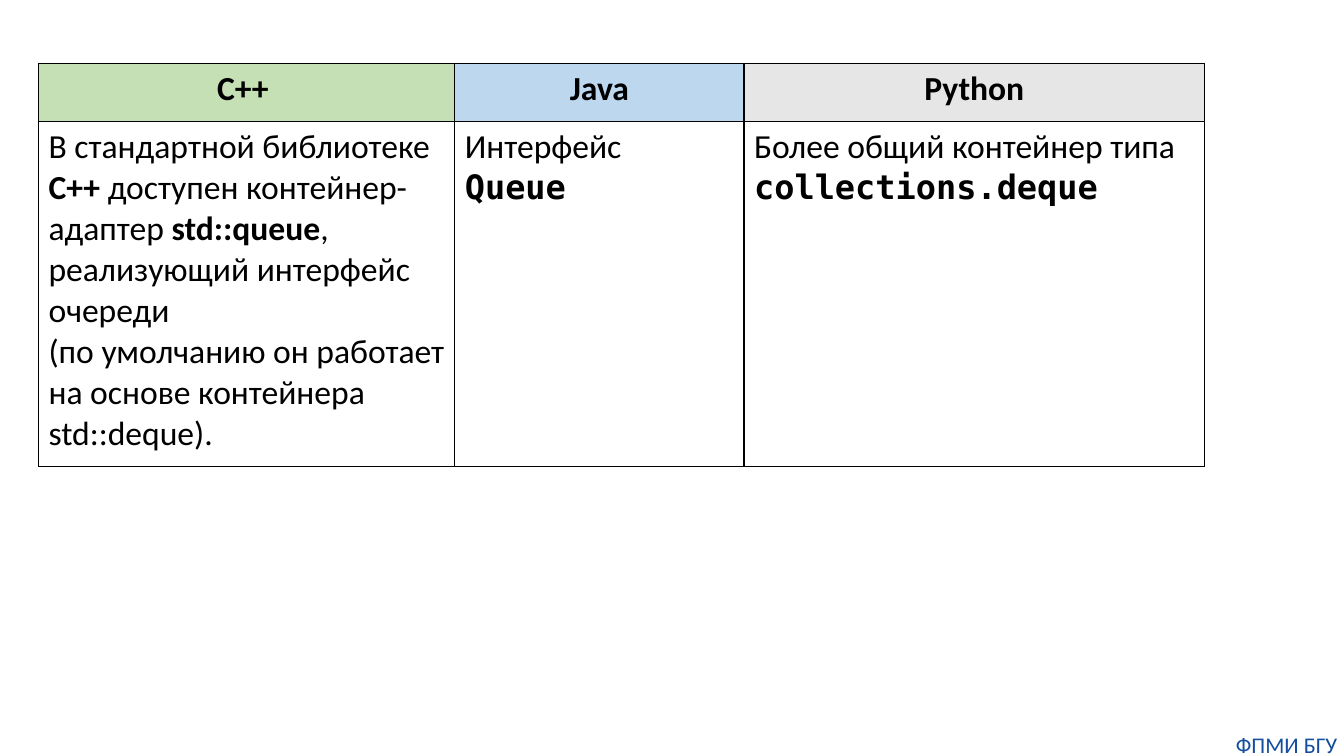
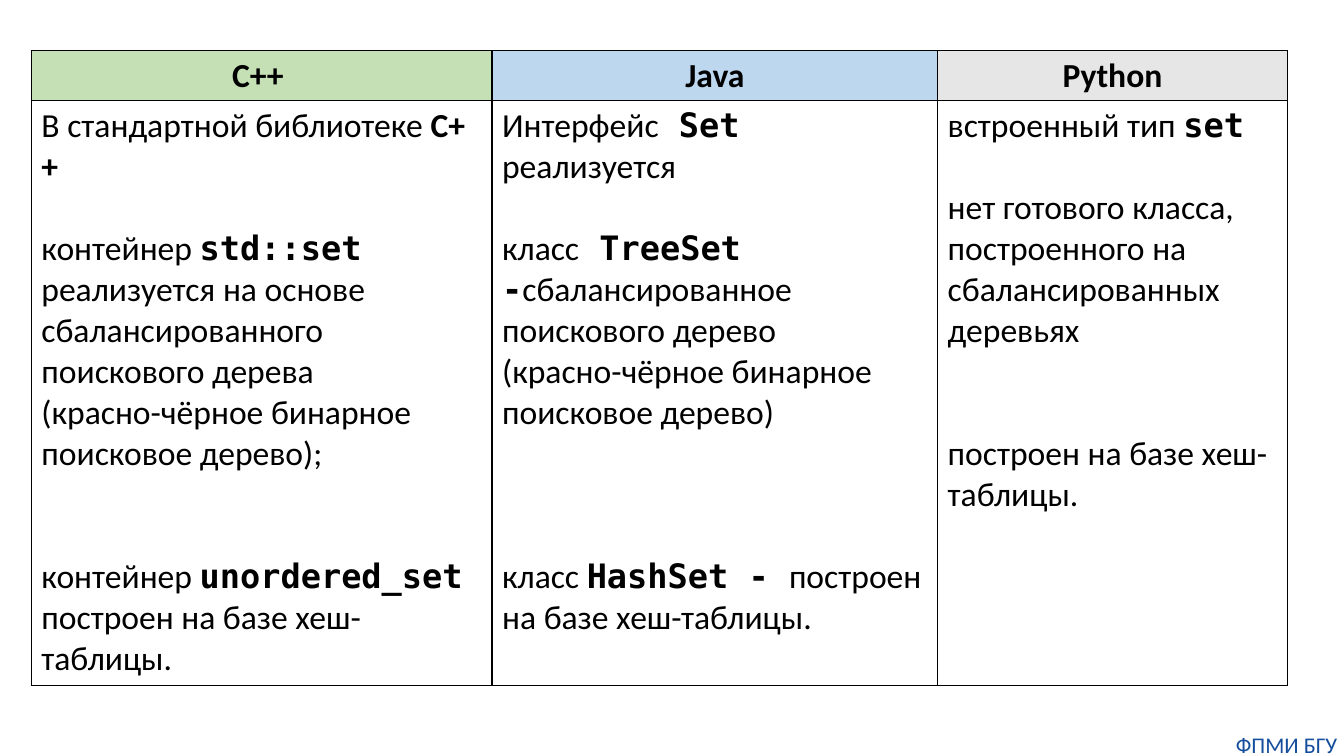
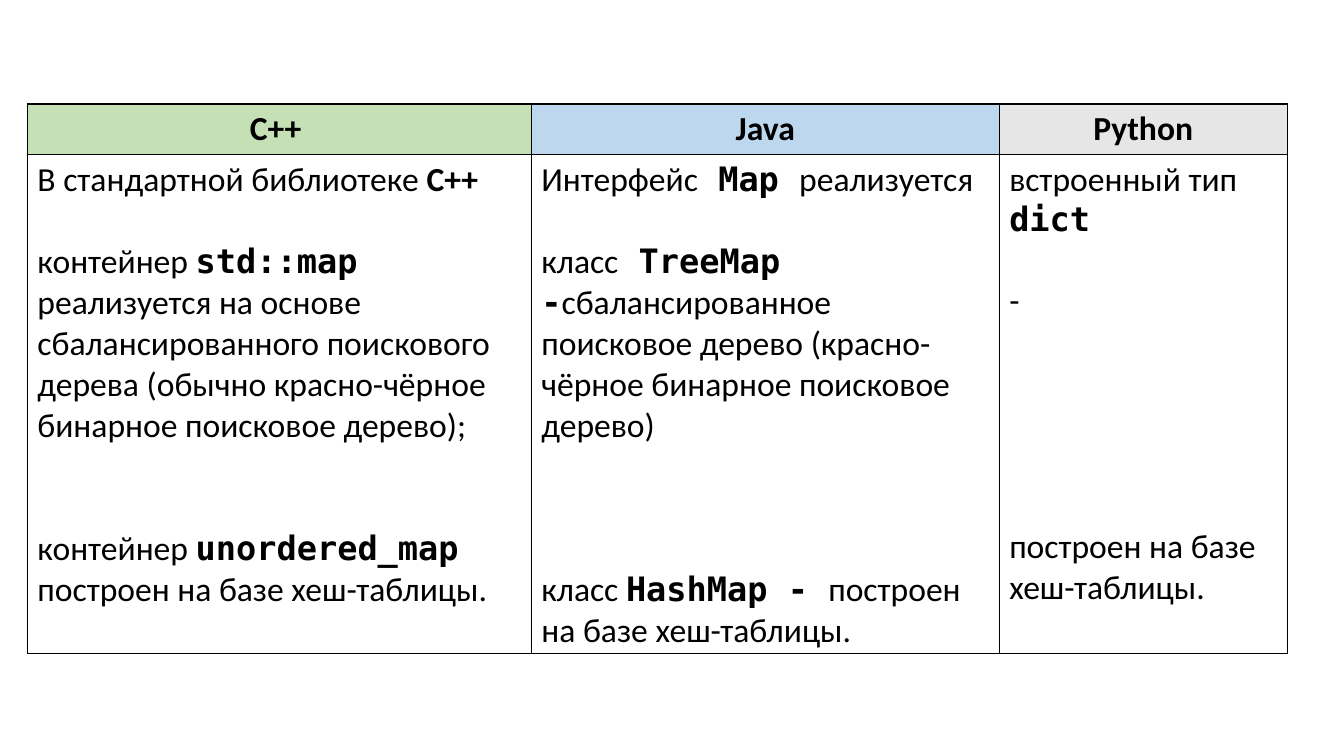
from dataclasses import dataclass

from lxml.etree import SubElement
from pptx import Presentation
from pptx.dml.color import RGBColor
from pptx.enum.text import PP_ALIGN
from pptx.oxml.ns import qn
from pptx.util import Cm, Pt

BLACK = RGBColor(0x00, 0x00, 0x00)
FOOTER_BLUE = RGBColor(0x14, 0x4E, 0x9D)
GREEN = RGBColor(0xC5, 0xE0, 0xB4)
BLUE = RGBColor(0xBD, 0xD7, 0xEE)
GREY = RGBColor(0xE7, 0xE6, 0xE6)

TEXT_FONT = "Calibri"
CODE_FONT = "DejaVu Sans Mono"
TEXT_SIZE = Pt(24)
FOOTER_SIZE = Pt(16)
LINE_HEIGHT = 29.3  # points taken by one line of 24 pt text

LANGUAGES = (("C++ ", GREEN), ("Java", BLUE), ("Python", GREY))


@dataclass(frozen=True)
class Span:
    text: str
    bold: bool = False
    font: str = TEXT_FONT
    size: int = TEXT_SIZE
    color: RGBColor = BLACK


@dataclass(frozen=True)
class Para:
    spans: tuple[Span, ...]
    lines_before: int = 0
    align: PP_ALIGN = PP_ALIGN.LEFT


@dataclass(frozen=True)
class Comparison:
    """One slide: a table with a column for each language."""
    left: float
    top: float
    widths: tuple[float, float, float]
    heights: tuple[float, float]
    cells: tuple[tuple[Para, ...], ...]
    footer: bool = True


def bold(text: str) -> Span:
    return Span(text, bold=True)


def code(text: str) -> Span:
    return Span(text, bold=True, font=CODE_FONT)


def line(*parts: str | Span, before: int = 0) -> Para:
    """Make a paragraph; plain strings become regular text."""
    spans = tuple(Span(part) if isinstance(part, str) else part for part in parts)
    return Para(spans, before)


HASH_BASED = "построен на базе хеш-таблицы."
CPP_LIBRARY = line("В стандартной библиотеке ", bold("C++"))
ON_TREE = "реализуется на основе сбалансированного поискового дерева"
RED_BLACK = "красно-чёрное бинарное поисковое дерево"


def unordered(name: str) -> Para:
    return line("контейнер ", code(f"{name} "), HASH_BASED, before=2)


def java_hash(name: str) -> Para:
    return line("класс ", code(f"{name} - "), HASH_BASED, before=3)


def java_interface(name: str) -> Para:
    return line("Интерфейс", code(f" {name} "), "реализуется")


COMPARISONS = (
    Comparison(
        0.97, 1.6, (10.49, 7.29, 11.61), (1.47, 8.69),
        (
            (
                line("В стандартной библиотеке ", bold("C++ "),
                     "доступен контейнер-адаптер ", bold("std::queue"),
                     ", реализующий интерфейс очереди"),
                line("(по умолчанию он работает на основе контейнера std::deque)."),
            ),
            (line("Интерфейс", code(" Queue")),),
            (line("Более общий контейнер типа ", code("collections.deque")),),
        ),
    ),
    Comparison(
        0.79, 1.27, (11.61, 11.23, 8.81), (1.27, 14.73),
        (
            (
                CPP_LIBRARY,
                line("контейнер ", code("std::set "), ON_TREE, before=1),
                line(f"({RED_BLACK});"),
                unordered("unordered_set"),
            ),
            (
                java_interface("Set"),
                line("класс", code(" TreeSet -"),
                     "сбалансированное поискового дерево", before=1),
                line(f"({RED_BLACK})"),
                java_hash("HashSet"),
            ),
            (
                line("встроенный тип ", code("set")),
                line("нет готового класса, построенного на "
                     "сбалансированных деревьях", before=1),
                line(HASH_BASED, before=2),
            ),
        ),
    ),
    Comparison(
        0.69, 2.62, (12.7, 11.79, 7.26), (1.27, 12.57),
        (
            (
                CPP_LIBRARY,
                line("контейнер ", code("std::map "),
                     f"{ON_TREE} (обычно {RED_BLACK});", before=1),
                unordered("unordered_map"),
            ),
            (
                java_interface("Map"),
                line("класс", code(" TreeMap -"),
                     f"сбалансированное поисковое дерево ({RED_BLACK})", before=1),
                java_hash("HashMap"),
            ),
            (
                line("встроенный тип ", code("dict")),
                line("-", before=1),
                line(HASH_BASED, before=5),
            ),
        ),
        footer=False,
    ),
)


def write(frame, paras: tuple[Para, ...]) -> None:
    for index, para in enumerate(paras):
        paragraph = frame.add_paragraph() if index else frame.paragraphs[0]
        paragraph.alignment = para.align
        if para.lines_before:
            paragraph.space_before = Pt(para.lines_before * LINE_HEIGHT)
        for span in para.spans:
            run = paragraph.add_run()
            run.text = span.text
            run.font.name = span.font
            run.font.size = span.size
            run.font.bold = span.bold
            run.font.color.rgb = span.color


def add_borders(cell) -> None:
    properties = cell._tc.get_or_add_tcPr()
    for side in ("a:lnL", "a:lnR", "a:lnT", "a:lnB"):
        border = SubElement(properties, qn(side), w=str(Pt(1)))
        fill = SubElement(border, qn("a:solidFill"))
        SubElement(fill, qn("a:srgbClr"), val=str(BLACK))


def add_comparison_table(page, comparison: Comparison) -> None:
    table = page.shapes.add_table(
        2, len(LANGUAGES), Cm(comparison.left), Cm(comparison.top),
        Cm(sum(comparison.widths)), Cm(sum(comparison.heights)),
    ).table
    table.first_row = False
    table.horz_banding = False
    for row, height in zip(table.rows, comparison.heights):
        row.height = Cm(height)
    for index, (language, color) in enumerate(LANGUAGES):
        table.columns[index].width = Cm(comparison.widths[index])
        header, body = table.cell(0, index), table.cell(1, index)
        add_borders(header)
        add_borders(body)
        header.fill.solid()
        header.fill.fore_color.rgb = color
        body.fill.background()
        write(header.text_frame, (Para((bold(language),), align=PP_ALIGN.CENTER),))
        write(body.text_frame, comparison.cells[index])


def add_footer(page) -> None:
    box = page.shapes.add_textbox(Cm(30.99), Cm(18.42), Cm(2.87), Cm(0.69))
    frame = box.text_frame
    frame.word_wrap = True
    frame.margin_left = frame.margin_right = frame.margin_top = frame.margin_bottom = 0
    span = Span("ФПМИ БГУ", size=FOOTER_SIZE, color=FOOTER_BLUE)
    write(frame, (Para((span,), align=PP_ALIGN.CENTER),))


def main() -> None:
    deck = Presentation()
    deck.slide_width, deck.slide_height = Cm(33.87), Cm(19.05)
    blank = deck.slide_layouts[6]
    for comparison in COMPARISONS:
        page = deck.slides.add_slide(blank)
        add_comparison_table(page, comparison)
        if comparison.footer:
            add_footer(page)
    deck.save("out.pptx")


if __name__ == "__main__":
    main()
